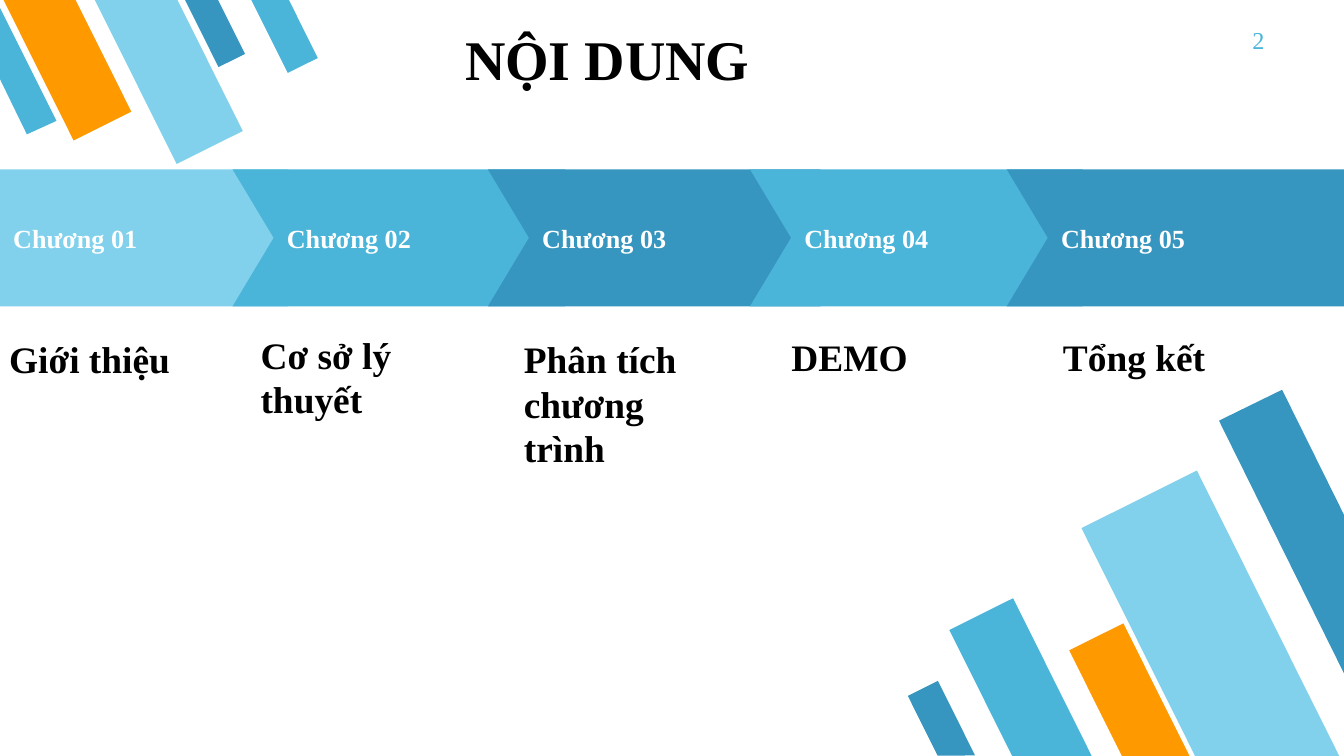
from pptx import Presentation
from pptx.dml.color import RGBColor
from pptx.enum import shapes, text
from pptx.util import Inches, Pt

THEME = {
    "font": "Times New Roman",
    "sky": "81D1EC", "blue": "4BB5D9", "deep": "3796BF",
    "orange": "FF9900", "black": "000000", "white": "FFFFFF",
    "title": 30, "label": 20, "step": 14, "page": 13,
}

TITLE = ("NỘI DUNG", (3.36, 0.13, 2.6, 0.61))
PAGE = ("2", (9.22, 0.09, 0.57, 0.49))

# Step name, left, width, colour; then label and its box
STEPS = [
    ("Chương 01", 0, 2.45, "sky", "Giới thiệu", (-0.03, 2.45, 1.45, 0.44)),
    ("Chương 02", 1.73, 2.78, "blue", "Cơ sở lý thuyết", (1.84, 2.42, 1.92, 0.77)),
    ("Chương 03", 3.63, 2.78, "deep", "Phân tích chương trình", (3.8, 2.45, 1.37, 1.11)),
    ("Chương 04", 5.58, 2.78, "blue", "DEMO", (5.79, 2.44, 1.2, 0.44)),
    ("Chương 05", 7.49, 2.91, "deep", "Tổng kết", (7.81, 2.44, 1.41, 0.44)),
]
STEP_TOP, STEP_HIGH, POINT = 1.26, 1.02, 0.3

# Slanted bars by corner: turn, then boxes with colours
BARS = [
    (153.5, [
        ((7.33, 4.5, 0.53, 1.32), "blue"),
        ((8.53, 3.59, 0.96, 2.39), "sky"),
        ((8.18, 4.68, 0.45, 1.11), "orange"),
        ((6.88, 5.09, 0.25, 0.62), "deep"),
    ]),
    (333.5, [
        ((1.49, -0.08, 0.22, 0.56), "deep"),
        ((0.26, -0.18, 0.48, 1.18), "orange"),
        ((0.98, -0.2, 0.55, 1.37), "sky"),
        ((1.99, -0.1, 0.25, 0.62), "blue"),
    ]),
]
# Bars cut off by the slide's edge
CUTS = [
    ([(9.54, 2.9), (9.07, 3.13), (10, 5.01), (10, 3.83)], "deep"),
    ([(0.2, 1), (0.42, 0.9), (0, 0.06), (0, 0.59)], "blue"),
]


def color(name):
    return RGBColor.from_string(THEME[name])


def paint(shape, name):
    shape.shadow.inherit = False
    shape.fill.solid()
    shape.fill.fore_color.rgb = color(name)
    shape.line.fill.background()


def write(shape, words, size, tint, bold=True, mid=False, pad=0.05):
    frame = shape.text_frame
    frame.word_wrap = True
    frame.auto_size = text.MSO_AUTO_SIZE.NONE
    frame.vertical_anchor = text.MSO_ANCHOR.MIDDLE if mid else text.MSO_ANCHOR.TOP
    frame.margin_left = frame.margin_right = Inches(0.1)
    frame.margin_top = frame.margin_bottom = Inches(pad)
    para = frame.paragraphs[0]
    para.alignment = text.PP_ALIGN.LEFT
    run = para.add_run()
    run.text = words
    run.font.name = THEME["font"]
    run.font.size = Pt(THEME[size])
    run.font.bold = bold
    run.font.color.rgb = color(tint)


def place(box):
    return [Inches(v) for v in box]


# Wide slide, 16 to 9
deck = Presentation()
deck.slide_width = Inches(10)
deck.slide_height = Inches(10) * 9 // 16
slide = deck.slides.add_slide(deck.slide_layouts[5])
items = slide.shapes
kinds = shapes.MSO_SHAPE

# Corner bars
for turn, bars in BARS:
    for box, tint in bars:
        bar = items.add_shape(kinds.FLOWCHART_MANUAL_INPUT, *place(box))
        bar.rotation = turn
        bar._element.spPr.xfrm.set("flipH", "1")
        paint(bar, tint)
for points, tint in CUTS:
    first, *rest = [place(p) for p in points]
    pen = items.build_freeform(*first)
    pen.add_line_segments(rest, close=True)
    paint(pen.convert_to_shape(), tint)

# Title and page number
title = items.title
title.left, title.top, title.width, title.height = place(TITLE[1])
write(title, TITLE[0], "title", "black")
page = items.add_textbox(*place(PAGE[1]))
write(page, PAGE[0], "page", "blue", bold=False, pad=0.1)

# Chapter arrows
for i, (name, left, wide, tint, _, _) in enumerate(STEPS):
    kind = kinds.CHEVRON if i else kinds.PENTAGON
    step = items.add_shape(kind, *place((left, STEP_TOP, wide, STEP_HIGH)))
    step.adjustments[0] = POINT
    paint(step, tint)
    write(step, name, "step", "white", mid=True, pad=0.1)

# Chapter labels
for *_, label, box in STEPS:
    write(items.add_textbox(*place(box)), label, "label", "black")

deck.save("out.pptx")
